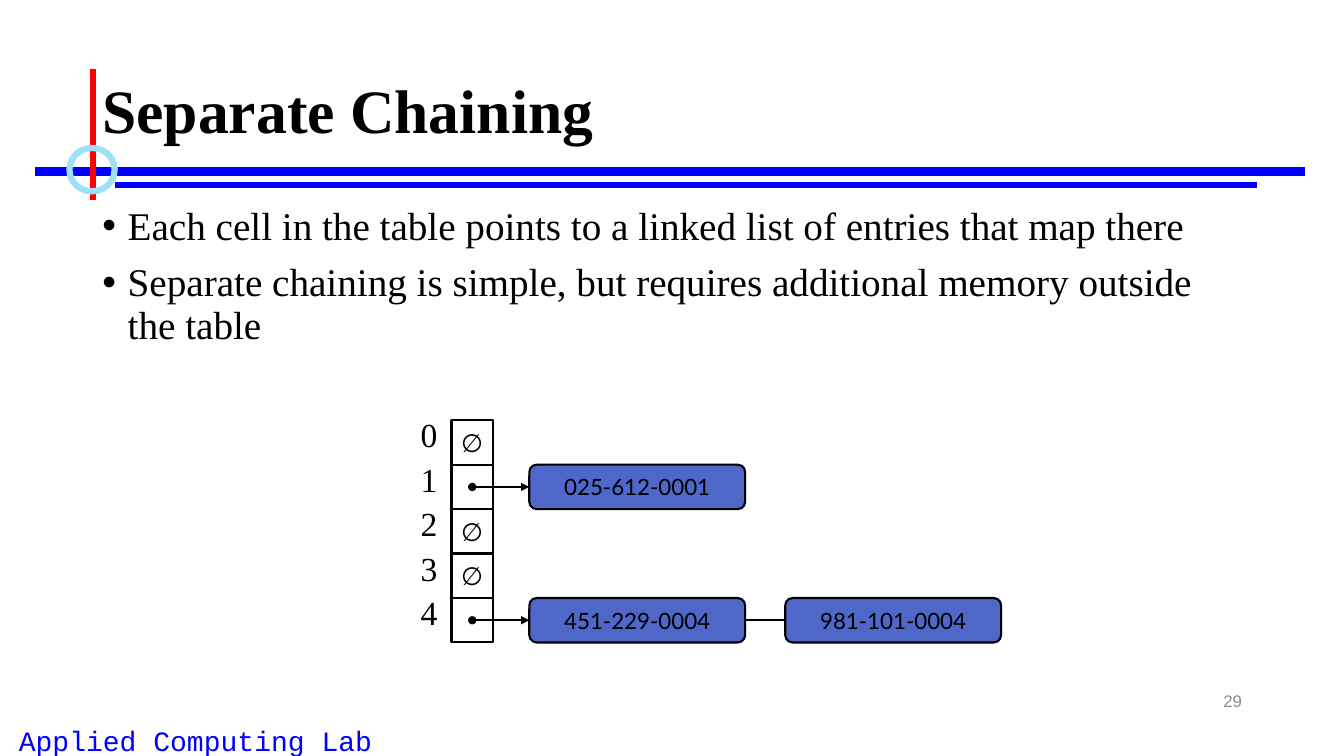
from dataclasses import dataclass

from lxml.etree import SubElement
from pptx import Presentation
from pptx.dml.color import RGBColor as Rgb
from pptx.enum.shapes import MSO_CONNECTOR as Connector, MSO_SHAPE as Shape
from pptx.enum.text import MSO_ANCHOR as Anchor, PP_ALIGN as Align
from pptx.oxml.ns import qn
from pptx.util import Cm, Pt


@dataclass(frozen=True)
class Theme:
    black: str = "000000"
    blue: str = "0000FF"
    red: str = "FF0000"
    sky: str = "9EE0F8"
    entry: str = "4E67C8"
    grey: str = "8C8C8C"
    serif: str = "Times New Roman"
    sans: str = "Arial"
    mono: str = "Courier New"
    label: str = "Lato"
    title_size: int = 44
    body_size: int = 28
    index_size: int = 24
    lab_size: int = 20
    null_size: int = 18
    entry_size: int = 16
    number_size: int = 12
    thin: float = 1.5
    medium: float = 4.5
    thick: float = 6


class SlideBuilder:
    def __init__(self, slide, theme):
        self.shapes = slide.shapes
        self.theme = theme

    def fill_frame(self, frame, lines, font, size, color=None, bold=False,
                   wrap=True, anchor=Anchor.TOP, bullet=False, **paragraph_format):
        frame.word_wrap = wrap
        frame.vertical_anchor = anchor
        font_format = {"name": font, "size": Pt(size), "bold": bold}
        for number, line in enumerate(lines):
            paragraph = frame.add_paragraph() if number else frame.paragraphs[0]
            for key, value in paragraph_format.items():
                setattr(paragraph, key, value)
            if bullet:
                properties = paragraph._p.get_or_add_pPr()
                properties.set("marL", str(Cm(0.64)))
                properties.set("indent", str(-Cm(0.64)))
                SubElement(properties, qn("a:buFont")).set("typeface", self.theme.sans)
                SubElement(properties, qn("a:buChar")).set("char", "•")
            run = paragraph.add_run()
            run.text = line
            for key, value in font_format.items():
                setattr(run.font, key, value)
            run.font.color.rgb = Rgb.from_string(color or self.theme.black)

    def text(self, bounds, lines, font, size, **text_format):
        box = self.shapes.add_textbox(*map(Cm, bounds))
        self.fill_frame(box.text_frame, lines, font, size, **text_format)

    def outline(self, line, color, width):
        line.color.rgb = Rgb.from_string(color or self.theme.black)
        line.width = Pt(width or self.theme.thin)

    def shape(self, kind, bounds, color=None, width=None, fill=None, text="", size=None):
        shape = self.shapes.add_shape(kind, *map(Cm, bounds))
        shape.shadow.inherit = False
        if fill:
            shape.fill.solid()
            shape.fill.fore_color.rgb = Rgb.from_string(fill)
        else:
            shape.fill.background()
        self.outline(shape.line, color, width)
        if text:
            self.fill_frame(shape.text_frame, [text], self.theme.label, size, wrap=False,
                            anchor=Anchor.MIDDLE, alignment=Align.CENTER)

    def line(self, start, end, color=None, width=None, pointer=False):
        link = self.shapes.add_connector(Connector.STRAIGHT, *map(Cm, start + end))
        self.outline(link.line, color, width)
        properties = link._element.spPr
        if pointer:
            stroke = properties.find(qn("a:ln"))
            SubElement(stroke, qn("a:headEnd")).set("type", "oval")
            SubElement(stroke, qn("a:tailEnd")).set("type", "triangle")
        SubElement(properties, qn("a:effectLst"))


def add_frame(builder, theme):
    builder.text((-1.47, 18.11, 12.8, 1.09), ["Applied Computing Lab"], theme.mono,
                 theme.lab_size, color=theme.blue, alignment=Align.CENTER)
    builder.line((0.89, 4.32), (32.89, 4.32), theme.blue, theme.thick)
    builder.line((2.9, 4.67), (31.67, 4.67), theme.blue, theme.medium)
    builder.line((2.34, 1.73), (2.34, 5.05), theme.red, theme.medium)
    builder.shape(Shape.OVAL, (1.75, 3.73, 1.14, 1.09), theme.sky, theme.medium)
    builder.text((23.93, 17.15, 7.62, 1.02), ["29"], theme.sans, theme.number_size,
                 color=theme.grey, anchor=Anchor.MIDDLE, alignment=Align.RIGHT)


def add_hash_table(builder, theme):
    chains = [[], ["025-612-0001"], [], [], ["451-229-0004", "981-101-0004"]]
    table_left, table_top, cell_width, row_height = 11.38, 10.59, 1.04, 1.12
    entry_left, entry_width, entry_pitch = 13.34, 5.44, 6.45
    pointer_left = table_left + cell_width / 2
    for index, chain in enumerate(chains):
        top = table_top + index * row_height
        middle = top + row_height / 2
        builder.shape(Shape.RECTANGLE, (table_left, top, cell_width, row_height),
                      text="" if chain else "∅", size=theme.null_size)
        builder.text((10.34, top - 0.28, 0.94, 1.3), [str(index)], theme.serif,
                     theme.index_size, wrap=False, alignment=Align.CENTER)
        for position, entry in enumerate(chain):
            left = entry_left + position * entry_pitch
            builder.shape(Shape.ROUNDED_RECTANGLE, (left, top, entry_width, row_height),
                          fill=theme.entry, text=entry, size=theme.entry_size)
            if position:
                previous_right = left - entry_pitch + entry_width
                builder.line((previous_right, middle), (left, middle))
            else:
                builder.line((pointer_left, middle), (left, middle), pointer=True)


def main():
    theme = Theme()
    deck = Presentation()
    deck.slide_width, deck.slide_height = Cm(33.87), Cm(19.05)
    builder = SlideBuilder(deck.slides.add_slide(deck.slide_layouts[6]), theme)
    add_frame(builder, theme)
    builder.text((2.33, 1.01, 29.21, 3.68), ["Separate Chaining"], theme.serif,
                 theme.title_size, bold=True, anchor=Anchor.MIDDLE, line_spacing=0.9)
    builder.text((2.33, 5.08, 29.21, 12.09), [
        "Each cell in the table points to a linked list of entries that map there",
        "Separate chaining is simple, but requires additional memory outside the table",
    ], theme.serif, theme.body_size, bullet=True, line_spacing=0.9, space_before=Pt(10))
    add_hash_table(builder, theme)
    deck.save("out.pptx")


if __name__ == "__main__":
    main()
